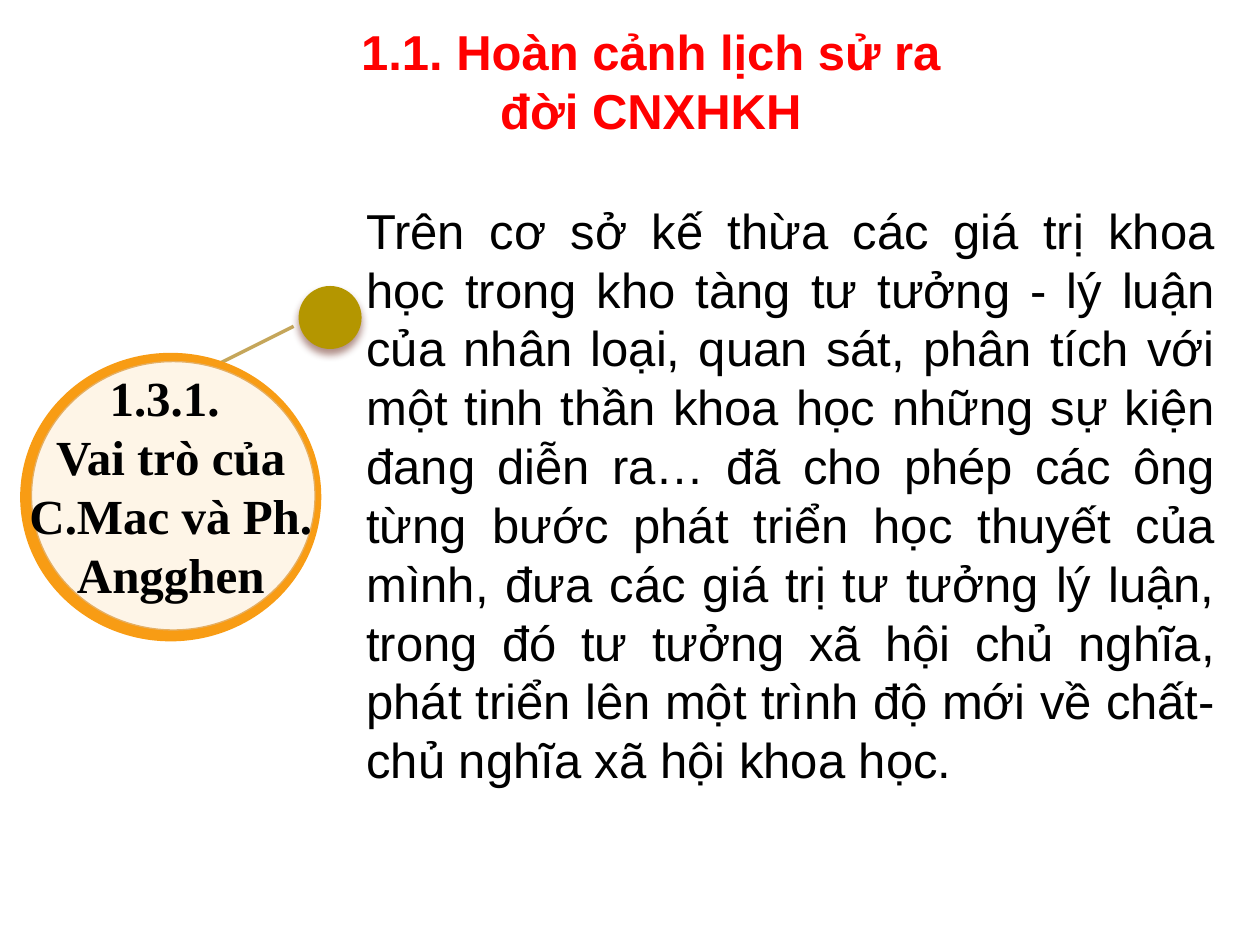
"""Build the slide on the historical setting of scientific socialism."""
from lxml import etree
from pptx import Presentation, util as u
from pptx.dml.color import RGBColor
from pptx.enum import shapes, text
from pptx.oxml.ns import qn

RED = RGBColor(0xFF, 0, 0)
BLACK = RGBColor(0, 0, 0)
WHITE = RGBColor(0xFF, 0xFF, 0xFF)
ORANGE = RGBColor(0xF8, 0x9C, 0x14)
SAND = RGBColor(0xE5, 0xAF, 0x63)
OLIVE = RGBColor(0xB4, 0x96, 0)
TAN = RGBColor(0xC5, 0xA6, 0x5A)

deck = Presentation()
deck.slide_width, deck.slide_height = u.Inches(10), u.Inches(7.5)
slide = deck.slides.add_slide(deck.slide_layouts[5])


def write(box, lines, font, color, bold, align):
    frame = box.text_frame
    frame.word_wrap = True
    frame.auto_size = text.MSO_AUTO_SIZE.NONE
    frame.vertical_anchor = text.MSO_ANCHOR.TOP
    frame.text = lines
    for para in frame.paragraphs:
        para.alignment = align
        for run in para.runs:
            run.font.name = font
            run.font.size = u.Pt(28)
            run.font.bold = bold
            run.font.color.rgb = color


link = slide.shapes.add_connector(
    shapes.MSO_CONNECTOR.STRAIGHT,
    u.Inches(1.73), u.Inches(2.89), u.Inches(2.33), u.Inches(2.59))
link.line.color.rgb = TAN
link.line.width = u.Pt(2)
etree.SubElement(link._element.spPr, qn("a:effectLst"))

discs = []
for x, y, w, h, fill in [
    (2.37, 2.27, 0.5, 0.5, OLIVE),
    (0.16, 2.8, 2.39, 2.29, ORANGE),
    (0.25, 2.87, 2.25, 2.13, WHITE),
]:
    disc = slide.shapes.add_shape(
        shapes.MSO_SHAPE.OVAL, u.Inches(x), u.Inches(y), u.Inches(w), u.Inches(h))
    disc.shadow.inherit = False
    disc.fill.solid()
    disc.fill.fore_color.rgb = fill
    disc.line.fill.background()
    discs.append(disc)
dot, ring, face = discs

face.line.color.rgb = SAND
face.line.width = u.Pt(0.75)
tint = face._element.spPr.find(qn("a:solidFill")).find(qn("a:srgbClr"))
etree.SubElement(tint, qn("a:alpha"), val="90000")

glow = etree.SubElement(
    dot._element.spPr.find(qn("a:effectLst")), qn("a:outerShdw"),
    blurRad=str(u.Pt(4.5)), dist=str(u.Pt(3)), dir="5400000", rotWithShape="0")
shade = etree.SubElement(glow, qn("a:srgbClr"), val="581001")
etree.SubElement(shade, qn("a:alpha"), val="48000")

label = slide.shapes.add_textbox(
    u.Inches(-0.02), u.Inches(2.87), u.Inches(2.75), u.Inches(1.99))
write(label, "1.3.1. \nVai trò của C.Mac và Ph. Angghen",
      "Times New Roman", BLACK, True, text.PP_ALIGN.CENTER)

body = slide.shapes.add_textbox(
    u.Inches(2.81), u.Inches(1.54), u.Inches(6.93), u.Inches(4.81))
write(body, "Trên cơ sở kế thừa các giá trị khoa học trong kho tàng tư tưởng - "
      "lý luận của nhân loại, quan sát, phân tích với một tinh thần khoa học "
      "những sự kiện đang diễn ra… đã cho phép các ông từng bước phát triển "
      "học thuyết của mình, đưa các giá trị tư tưởng lý luận, trong đó tư tưởng "
      "xã hội chủ nghĩa, phát triển lên một trình độ mới về chất- "
      "chủ nghĩa xã hội khoa học.",
      "Arial", BLACK, False, text.PP_ALIGN.JUSTIFY)

title = slide.shapes.title
title.left, title.top = u.Inches(2.57), u.Inches(0.12)
title.width, title.height = u.Inches(5.19), u.Inches(0.82)
write(title, "1.1. Hoàn cảnh lịch sử ra đời CNXHKH",
      "Arial", RED, True, text.PP_ALIGN.CENTER)

deck.save("out.pptx")
